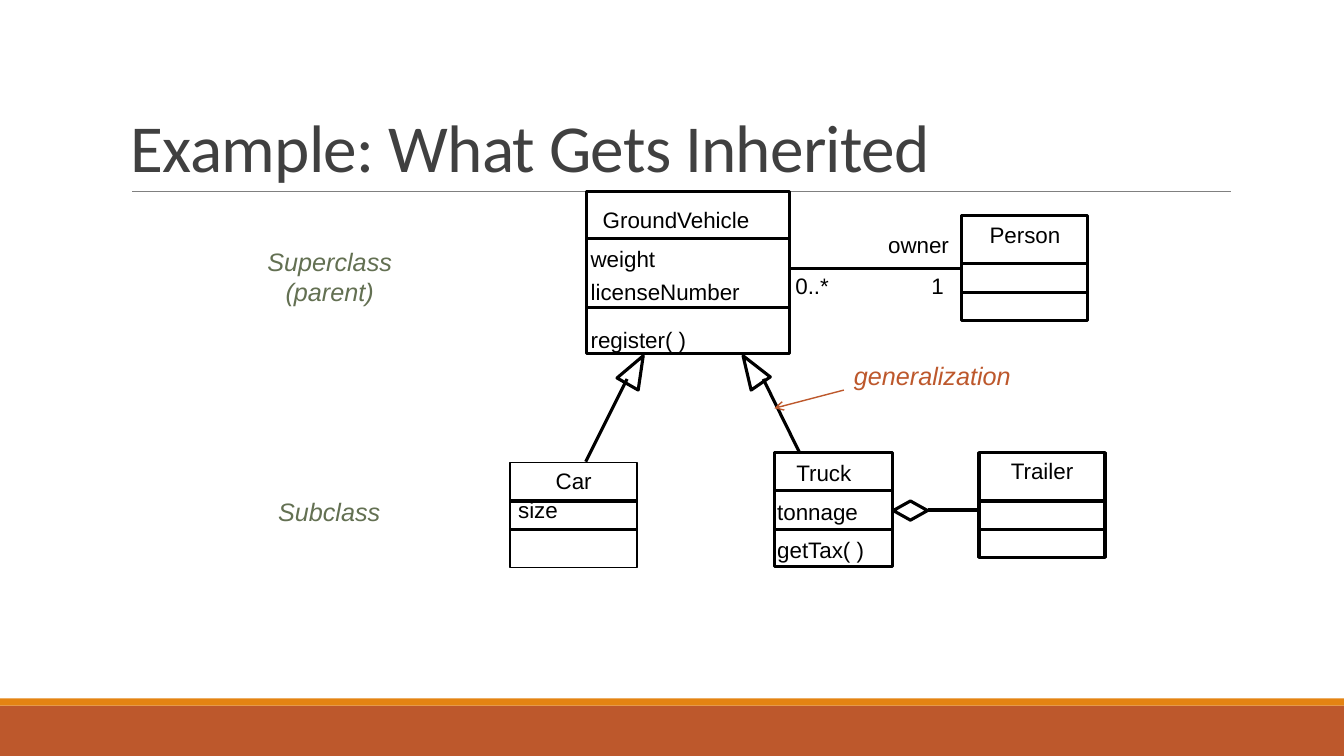
from dataclasses import dataclass

from pptx import Presentation
from pptx.dml.color import RGBColor
from pptx.enum.shapes import MSO_CONNECTOR, MSO_SHAPE
from pptx.enum.text import MSO_ANCHOR, PP_ALIGN
from pptx.oxml.ns import qn
from pptx.util import Inches, Pt
from lxml.etree import SubElement


@dataclass(frozen=True)
class Theme:
    ink: str = "000000"
    gray: str = "404040"
    rule: str = "808080"
    green: str = "637052"
    rust: str = "BD582C"
    gold: str = "E48312"
    body: int = 16
    note: int = 18
    head: int = 48
    thin: float = 0.5
    fine: float = 1
    bold: float = 2.25
    sans: str = "Arial"
    title: str = "Calibri"


def cell(count):
    return Inches(count / 10)


def put(thing, values):
    for name, value in values.items():
        setattr(thing, name, value)


class Board:
    def __init__(self, deck, theme):
        self.theme = theme
        self.slide = deck.slides.add_slide(deck.slide_layouts[6])
        self.shapes = self.slide.shapes

    def stroke(self, shape, color, width):
        shape.line.color.rgb = RGBColor.from_string(color)
        shape.line.width = Pt(width)

    def letter(self, frame, text, color=None, size=None, face=None, slant=False,
               align=PP_ALIGN.LEFT, anchor=MSO_ANCHOR.TOP, wrap=False, lead=None, track=None):
        theme = self.theme
        put(frame, {"word_wrap": wrap, "vertical_anchor": anchor})
        para = frame.paragraphs[0]
        put(para, {"alignment": align, "line_spacing": lead})
        run = para.add_run()
        run.text = text
        put(run.font, {"name": face or theme.sans, "size": Pt(size or theme.body),
                       "italic": slant})
        run.font.color.rgb = RGBColor.from_string(color or theme.ink)
        if track:
            run._r.get_or_add_rPr().set("spc", str(track))

    def text(self, text, *place, **style):
        box = self.shapes.add_textbox(*map(cell, place))
        self.letter(box.text_frame, text, **style)

    def band(self, color, *place):
        bar = self.shapes.add_shape(MSO_SHAPE.RECTANGLE, *map(cell, place))
        bar.shadow.inherit = False
        bar.fill.solid()
        bar.fill.fore_color.rgb = RGBColor.from_string(color)
        bar.line.fill.background()

    def shape(self, kind, *place, width=None):
        shape = self.shapes.add_shape(kind, *map(cell, place))
        self.hollow(shape, width)
        return shape

    def hollow(self, shape, width=None):
        shape.shadow.inherit = False
        shape.fill.background()
        self.stroke(shape, self.theme.ink, width or self.theme.bold)

    def line(self, *ends, color=None, width=None, arrow=False):
        link = self.shapes.add_connector(MSO_CONNECTOR.STRAIGHT, *map(cell, ends))
        self.stroke(link, color or self.theme.ink, width or self.theme.bold)
        props = link._element.spPr
        if arrow:
            SubElement(props.find(qn("a:ln")), qn("a:tailEnd"), type="arrow")
        SubElement(props, qn("a:effectLst"))

    def head(self, *points):
        first, *rest = [tuple(map(cell, point)) for point in points]
        outline = self.shapes.build_freeform(*first, scale=1.0)
        outline.add_line_segments(rest, close=True)
        self.hollow(outline.convert_to_shape())

    def card(self, left, top, wide, high, splits, label=None, width=None):
        box = self.shape(MSO_SHAPE.RECTANGLE, left, top, wide, high, width=width)
        if label:
            self.letter(box.text_frame, label, align=PP_ALIGN.CENTER)
        for row in splits:
            self.line(left - 0.1, row, left + wide + 0.1, row)


def main():
    theme = Theme()
    deck = Presentation()
    put(deck, {"slide_width": Inches(13.33), "slide_height": Inches(7.5)})
    board = Board(deck, theme)

    board.band(theme.rust, 0, 70, 133.3, 5)
    board.band(theme.gold, 0, 69.3, 133.3, 0.7)
    board.line(13.1, 19, 122.1, 19, color=theme.rule, width=theme.thin)

    board.card(76.8, 44.9, 11.7, 11.3, (48.7, 52.5))
    board.card(58.2, 19, 20.1, 16.1, (23.7, 30.5))
    board.card(50.6, 45.9, 12.6, 10.4, (49.7, 52.5), "Car", theme.fine)
    board.card(95.4, 21.4, 12.5, 10.4, (26.1, 29), "Person")
    board.card(97.1, 44.9, 12.5, 10.4, (49.7, 52.5), "Trailer")

    for label, left, top, wide in (
        ("Truck", 78, 45.1, 7.6),
        ("tonnage", 76.1, 48.9, 10),
        ("getTax( )", 76.1, 52.7, 10.9),
        ("GroundVehicle", 58.8, 20, 16.7),
        ("weight", 57.6, 23.8, 8.4),
        ("licenseNumber", 57.6, 27.1, 16.8),
        ("register( )", 57.6, 31.9, 11.5),
        ("size", 50.4, 48.7, 16.2),
        ("owner", 87.1, 22.4, 8.1),
        ("0..*", 77.9, 26.5, 5.4),
        ("1", 91.4, 26.5, 3.2),
    ):
        board.text(label, left, top, wide, 3.7, wrap=label == "size")

    board.line(79.3, 44.9, 75.7, 37.6)
    board.head((73.7, 35.3), (76.4, 37.4), (74.5, 38.7))
    board.line(58.1, 45.8, 62.2, 37.6)
    board.head((63.8, 35.3), (63.3, 38.7), (61.2, 37.5))
    board.line(78.4, 26.6, 95.3, 26.6)
    board.line(92, 50.6, 97, 50.6)
    board.shape(MSO_SHAPE.DIAMOND, 88.6, 49.7, 3.4, 1.9)

    for label, place, color, align in (
        ("Superclass (parent)", (25.4, 23.9, 14.6, 7), theme.green, PP_ALIGN.CENTER),
        ("Subclass", (23.8, 48.7, 17.7, 4), theme.green, PP_ALIGN.CENTER),
        ("generalization", (83.7, 35.3, 22.7, 4), theme.rust, PP_ALIGN.LEFT),
    ):
        board.text(label, *place, color=color, size=theme.note, slant=True,
                   align=align, wrap=True)
    board.line(83.7, 38.7, 76.8, 40.5, color=theme.rust, width=theme.fine, arrow=True)

    board.text("Example: What Gets Inherited", 12, 3.1, 110, 15.9, color=theme.gray,
               size=theme.head, face=theme.title, anchor=MSO_ANCHOR.BOTTOM,
               wrap=True, lead=0.85, track=-50)
    deck.save("out.pptx")


if __name__ == "__main__":
    main()
